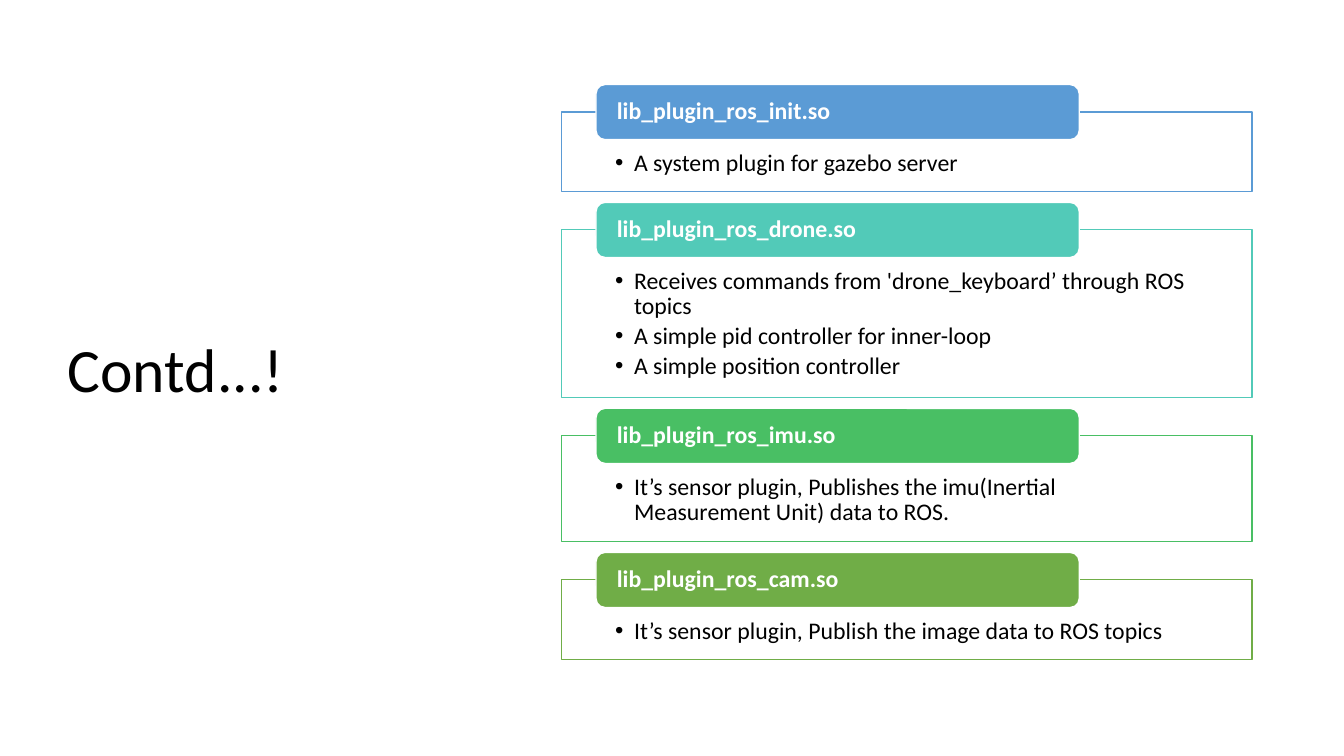
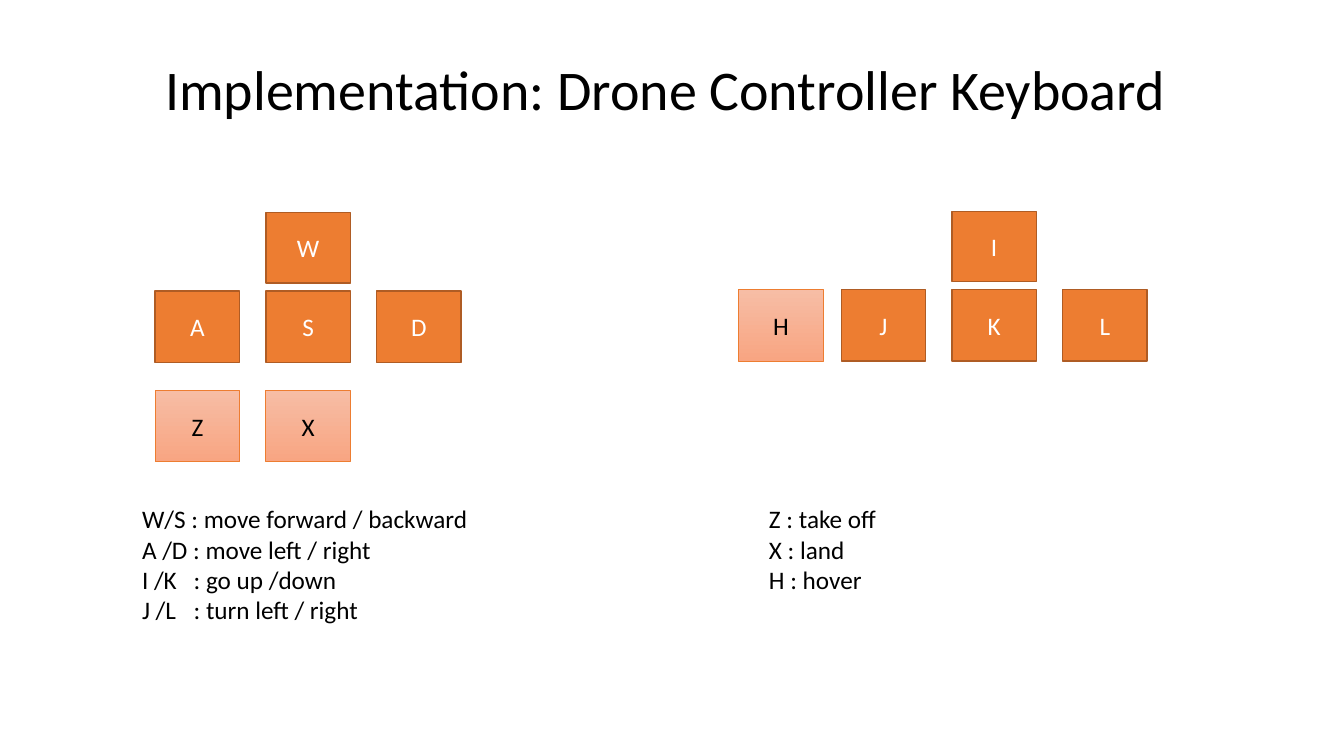
from dataclasses import dataclass

from lxml import etree
from pptx import Presentation
from pptx.dml.color import RGBColor
from pptx.enum.shapes import MSO_SHAPE
from pptx.enum.text import MSO_ANCHOR, MSO_AUTO_SIZE, PP_ALIGN
from pptx.oxml.ns import qn
from pptx.util import Cm, Pt

RECTANGLE, ROUNDED = MSO_SHAPE.RECTANGLE, MSO_SHAPE.ROUNDED_RECTANGLE
TOP, MIDDLE, BOTTOM = MSO_ANCHOR.TOP, MSO_ANCHOR.MIDDLE, MSO_ANCHOR.BOTTOM
LEFT, CENTER = PP_ALIGN.LEFT, PP_ALIGN.CENTER
NO_AUTOFIT = MSO_AUTO_SIZE.NONE
TITLE_ONLY = 5


@dataclass(frozen=True)
class Theme:
    font: str = "Calibri"
    text: str = "000000"
    light: str = "FFFFFF"
    blue: str = "5B9BD5"
    teal: str = "52CAB8"
    green: str = "49BF64"
    olive: str = "70AD47"
    key: str = "ED7D31"
    key_edge: str = "AF5C24"
    soft_key: tuple = ("F7BDA5", "F8A582")
    side_title_size: int = 44
    title_size: int = 40
    panel_size: int = 17
    body_size: int = 18


class Deck:
    """Holds the theme and the slide being drawn; all lengths are in cm."""

    def __init__(self, theme):
        self.theme = theme
        self.presentation = Presentation()
        self.presentation.slide_width = Cm(33.87)
        self.presentation.slide_height = Cm(19.05)
        self.slide = None

    def add_slide(self, title, box, size, anchor):
        layout = self.presentation.slide_layouts[TITLE_ONLY]
        self.slide = self.presentation.slides.add_slide(layout)
        shape = self.slide.shapes.title
        shape.left, shape.top, shape.width, shape.height = map(Cm, box)
        frame = shape.text_frame
        frame.auto_size = NO_AUTOFIT
        frame.vertical_anchor = anchor
        frame.text = title
        paragraph = frame.paragraphs[0]
        paragraph.alignment = LEFT
        paragraph.line_spacing = 0.9
        self.style(paragraph, size)

    def style(self, paragraph, size, color=None, bold=False):
        font = paragraph.font
        font.name = self.theme.font
        font.size = Pt(size)
        font.bold = bold
        font.color.rgb = RGBColor.from_string(color or self.theme.text)

    def box(self, kind, left, top, width, height, fill, line, line_width=1):
        """Add a preset shape; a pair of fill colours makes a downward gradient."""
        shape = self.slide.shapes.add_shape(
            kind, Cm(left), Cm(top), Cm(width), Cm(height))
        shape.shadow.inherit = False
        if isinstance(fill, tuple):
            shape.fill.gradient()
            shape.fill.gradient_angle = 270
            for stop, color in zip(shape.fill.gradient_stops, fill):
                stop.color.rgb = RGBColor.from_string(color)
        else:
            shape.fill.solid()
            shape.fill.fore_color.rgb = RGBColor.from_string(fill)
        shape.line.color.rgb = RGBColor.from_string(line)
        shape.line.width = Pt(line_width)
        return shape

    def paragraphs(self, frame, lines):
        """Write one paragraph per line and return them."""
        frame.word_wrap = True
        frame.text = "\n".join(lines)
        return frame.paragraphs

    def panel(self, top, height, color, label, points):
        """A bordered frame of bullets with a coloured label on its top edge."""
        theme = self.theme
        frame = self.box(RECTANGLE, 14.15, top, 17.4, height,
                         theme.light, color).text_frame
        frame.vertical_anchor = TOP
        frame.margin_left = frame.margin_right = Cm(1.35)
        frame.margin_top, frame.margin_bottom = Cm(0.98), Cm(0.33)
        for paragraph in self.paragraphs(frame, points):
            properties = paragraph._p.get_or_add_pPr()
            properties.set("marL", str(Cm(0.48)))
            properties.set("indent", str(-Cm(0.48)))
            etree.SubElement(properties, qn("a:buFont")).set("typeface", "Arial")
            etree.SubElement(properties, qn("a:buChar")).set("char", "•")
            paragraph.alignment = LEFT
            paragraph.line_spacing = 0.9
            paragraph.space_after = Pt(3)
            self.style(paragraph, theme.panel_size)

        tab = self.box(ROUNDED, 15.02, top - 0.69, 12.18, 1.39,
                       color, theme.light).text_frame
        tab.vertical_anchor = MIDDLE
        tab.margin_left = tab.margin_right = Cm(0.46)
        tab.margin_top = tab.margin_bottom = 0
        paragraph = self.paragraphs(tab, [label])[0]
        paragraph.alignment = LEFT
        paragraph.line_spacing = 0.9
        self.style(paragraph, theme.panel_size, theme.light, bold=True)

    def key(self, letter, left, top, height=1.8, soft=False):
        theme = self.theme
        if soft:
            look = (theme.soft_key, theme.key, 0.5)
        else:
            look = (theme.key, theme.key_edge)
        shape = self.box(RECTANGLE, left, top, 2.13, height, *look)
        shape.text_frame.vertical_anchor = MIDDLE
        paragraph = self.paragraphs(shape.text_frame, [letter])[0]
        paragraph.alignment = CENTER
        self.style(paragraph, theme.body_size,
                   theme.text if soft else theme.light)

    def key_row(self, letters, left, top, soft=False):
        for column, letter in enumerate(letters):
            self.key(letter, left + column * 2.79, top, soft=soft)

    def arrow_keys(self, upper, lower, left, top):
        """One key centred above a row of three."""
        self.key(upper, left + 2.79, top, height=1.77)
        self.key_row(lower, left, top + 1.97)

    def legend(self, lines, left, height, tab_stop):
        shape = self.slide.shapes.add_textbox(
            Cm(left), Cm(12.57), Cm(10.97), Cm(height))
        for paragraph in self.paragraphs(shape.text_frame, lines):
            if "\t" in paragraph.text:
                properties = paragraph._p.get_or_add_pPr()
                tabs = etree.SubElement(properties, qn("a:tabLst"))
                tab = etree.SubElement(tabs, qn("a:tab"))
                tab.set("pos", str(Cm(tab_stop)))
                tab.set("algn", "l")
            self.style(paragraph, self.theme.body_size)


def plugin_slide(deck):
    theme = deck.theme
    deck.add_slide("Contd...!", (1.45, 1.73, 10.57, 15.29),
                   theme.side_title_size, MIDDLE)
    panels = [
        (2.01, theme.blue, "lib_plugin_ros_init.so",
         ["A system plugin for gazebo server"]),
        (4.23, theme.teal, "lib_plugin_ros_drone.so",
         ["Receives commands from 'drone_keyboard’ through ROS topics",
          "A simple pid controller for inner-loop",
          "A simple position controller"]),
        (2.67, theme.green, "lib_plugin_ros_imu.so",
         ["It’s sensor plugin, Publishes the imu(Inertial Measurement Unit) "
          "data to ROS."]),
        (2.01, theme.olive, "lib_plugin_ros_cam.so",
         ["It’s sensor plugin, Publish the image data to ROS topics"]),
    ]
    top, gap = 2.82, 0.96
    for height, color, label, points in panels:
        deck.panel(top, height, color, label, points)
        top += height + gap


def keyboard_slide(deck):
    deck.add_slide("Implementation: Drone Controller Keyboard",
                   (3.91, 1.3, 26.04, 1.93), deck.theme.title_size, BOTTOM)
    deck.arrow_keys("W", "ASD", 3.91, 5.36)
    deck.arrow_keys("I", "JKL", 21.2, 5.33)
    deck.key_row("H", 18.62, 7.3, soft=True)
    deck.key_row("ZX", 3.91, 9.84, soft=True)
    deck.legend(["W/S : move forward / backward",
                 "A /D : move left / right",
                 "I /K\t: go up /down",
                 "J /L\t: turn left / right"], 3.33, 3.33, tab_stop=1.3)
    deck.legend(["Z : take off", "X : land", "H : hover"],
                19.13, 2.57, tab_stop=1.3)


def main():
    deck = Deck(Theme())
    plugin_slide(deck)
    keyboard_slide(deck)
    deck.presentation.save("out.pptx")


if __name__ == "__main__":
    main()
